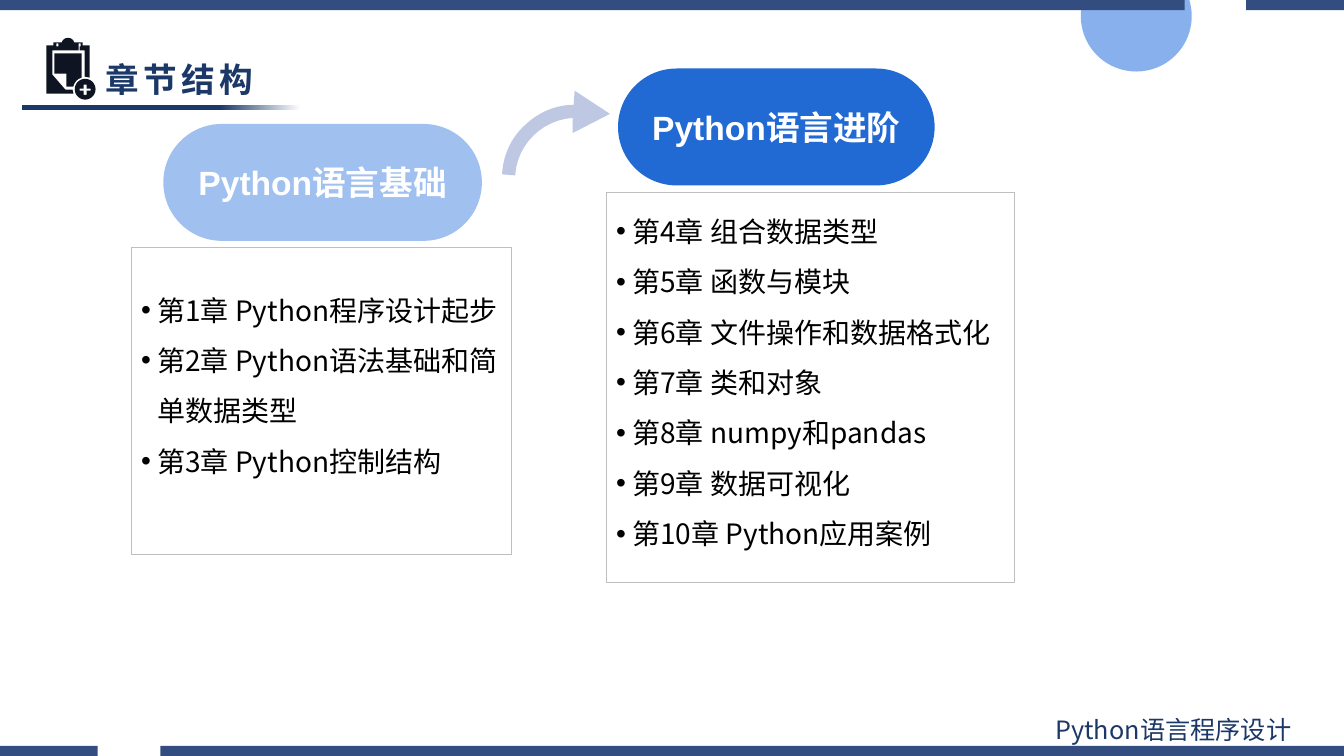
import math
from pptx import Presentation
from pptx.dml.color import RGBColor
from pptx.enum.shapes import MSO_SHAPE
from pptx.enum.text import MSO_ANCHOR, MSO_AUTO_SIZE, PP_ALIGN
from pptx.oxml.ns import qn
from pptx.util import Pt
from lxml import etree

RECTANGLE, PILL, ELLIPSE = MSO_SHAPE.RECTANGLE, MSO_SHAPE.ROUNDED_RECTANGLE, MSO_SHAPE.OVAL
TOP, MIDDLE = MSO_ANCHOR.TOP, MSO_ANCHOR.MIDDLE
LEFT, CENTER = PP_ALIGN.LEFT, PP_ALIGN.CENTER
NO_AUTOFIT = MSO_AUTO_SIZE.NONE

NAVY = RGBColor(0x1B, 0x38, 0x68)
BAR_BLUE = RGBColor(0x33, 0x4D, 0x80)
CIRCLE_BLUE = RGBColor(0x60, 0x96, 0xE6)
LIGHT_BLUE = RGBColor(0xA0, 0xC0, 0xF0)
STRONG_BLUE = RGBColor(0x21, 0x69, 0xD3)
ARROW_BLUE = RGBColor(0xBF, 0xC8, 0xE3)
ICON_INK = RGBColor(0x0F, 0x14, 0x23)
BORDER_GRAY = RGBColor(0xBF, 0xBF, 0xBF)
BLACK = RGBColor(0, 0, 0)
WHITE = RGBColor(0xFF, 0xFF, 0xFF)

EMU_PER_PX = 9144
SLIDE_WIDTH, SLIDE_HEIGHT = 1333, 750
CJK_FONT, LATIN_FONT = "Noto Sans CJK SC", "Arial"

BASICS = ["第1章 Python程序设计起步", "第2章 Python语法基础和简单数据类型", "第3章 Python控制结构"]
ADVANCED = [
    "第4章 组合数据类型", "第5章 函数与模块", "第6章 文件操作和数据格式化", "第7章 类和对象",
    "第8章 numpy和pandas", "第9章 数据可视化", "第10章 Python应用案例",
]


def px(length):
    return round(length * EMU_PER_PX)


def arc(center, radius, start, end, steps=16):
    angles = [math.radians(start + (end - start) * i / steps) for i in range(steps + 1)]
    return [(center[0] + radius * math.cos(a), center[1] + radius * math.sin(a)) for a in angles]


def bezier(p0, p1, p2, p3, steps=12):
    points = []
    for i in range(steps + 1):
        t = i / steps
        weights = ((1 - t) ** 3, 3 * t * (1 - t) ** 2, 3 * t * t * (1 - t), t ** 3)
        points.append(tuple(sum(w * p[axis] for w, p in zip(weights, (p0, p1, p2, p3)))
                            for axis in (0, 1)))
    return points


def write(paragraph, text, size=20, color=BLACK, bold=False, font=CJK_FONT,
          align=LEFT, line_spacing=1.0, tracking=0):
    paragraph.alignment = align
    paragraph.line_spacing = line_spacing
    paragraph.space_before = Pt(0)
    run = paragraph.add_run()
    run.text = text
    run.font.name, run.font.size, run.font.bold = font, Pt(size), bold
    run.font.color.rgb = color
    properties = run._r.get_or_add_rPr()
    etree.SubElement(properties, qn("a:ea")).set("typeface", CJK_FONT)
    if tracking:
        properties.set("spc", str(tracking * 100))


class ChapterSlide:
    def __init__(self, presentation):
        self.slide = presentation.slides.add_slide(presentation.slide_layouts[3])
        self.shapes = self.slide.shapes

    def place(self, shape, left, top, width, height):
        shape.left, shape.top = px(left), px(top)
        shape.width, shape.height = px(width), px(height)

    def frame(self, shape, anchor):
        frame = shape.text_frame
        frame.word_wrap = True
        frame.auto_size = NO_AUTOFIT
        frame.vertical_anchor = anchor
        return frame

    def paint(self, shape, color):
        shape.shadow.inherit = False
        shape.fill.solid()
        shape.fill.fore_color.rgb = color
        shape.line.fill.background()
        return shape

    def block(self, kind, left, top, width, height, color):
        shape = self.shapes.add_shape(kind, px(left), px(top), px(width), px(height))
        return self.paint(shape, color)

    def disc(self, left, top, size, color, opacity):
        shape = self.block(ELLIPSE, left, top, size, size, color)
        color_element = shape.element.spPr.find(".//" + qn("a:srgbClr"))
        etree.SubElement(color_element, qn("a:alpha")).set("val", str(opacity * 1000))

    def fading_rule(self, left, top, width, height, color):
        shape = self.block(RECTANGLE, left, top, width, height, color)
        shape.fill.gradient()
        shape.fill.gradient_angle = 0
        for stop, position, shade in zip(shape.fill.gradient_stops, (0.71, 1), (color, WHITE)):
            stop.position = position
            stop.color.rgb = shade

    def outline(self, contours, color):
        scaled = [[(px(x), px(y)) for x, y in contour] for contour in contours]
        builder = self.shapes.build_freeform(*scaled[0][0], scale=1.0)
        for index, contour in enumerate(scaled):
            if index:
                builder.move_to(*contour[0])
            builder.add_line_segments(contour[1:], close=True)
        self.paint(builder.convert_to_shape(), color)

    def title(self, text, left, top, width, height):
        shape = self.shapes.title
        self.place(shape, left, top, width, height)
        write(self.frame(shape, MIDDLE).paragraphs[0], text, size=24, color=NAVY, bold=True,
              tracking=3)

    def label(self, text, left, top, width, height):
        shape = self.shapes.add_textbox(px(left), px(top), px(width), px(height))
        write(self.frame(shape, TOP).paragraphs[0], text, size=18, color=NAVY)

    def pill(self, text, left, top, width, height, color):
        shape = self.block(PILL, left, top, width, height, color)
        shape.adjustments[0] = 0.5
        write(self.frame(shape, MIDDLE).paragraphs[0], text, size=24, color=WHITE, bold=True,
              font=LATIN_FONT, align=CENTER)

    def chapter_list(self, index, items, left, top, width, height, margin_top):
        shape = self.slide.placeholders[index]
        self.place(shape, left, top, width, height)
        shape.line.color.rgb = BORDER_GRAY
        shape.line.width = Pt(0.25)
        frame = self.frame(shape, TOP)
        frame.margin_top, frame.margin_right = px(margin_top), px(5)
        for number, item in enumerate(items):
            paragraph = frame.add_paragraph() if number else frame.paragraphs[0]
            write(paragraph, item, line_spacing=1.5)
            properties = paragraph._p.get_or_add_pPr()
            properties.set("marL", str(px(16)))
            properties.set("indent", str(-px(16)))
            etree.SubElement(properties, qn("a:buChar")).set("char", "•")

    def curved_arrow(self, color):
        outer = bezier((569, 104), (552, 104), (535, 111), (522, 123))
        outer += bezier((522, 123), (507, 136), (499, 154), (498, 173))
        inner = bezier((511, 174), (513, 143), (538, 119), (568, 117))
        self.outline([[(570, 90), *outer, *inner, (568, 132), (605, 113)]], color)

    def clipboard_icon(self, color):
        badge = (84.5, 88.5)
        board = [
            (46, 45), (53, 45), (53, 42), *arc((67.5, 44), 6.5, -162, -18), (82, 42), (82, 45),
            (89, 45), (89, 77), (84, 76), (84, 50), (79, 50), (79, 46), (80, 46), (80, 43),
            (78, 43), (78, 50), (57, 50), (57, 46), (58, 46), (58, 43), (56, 43), (56, 46),
            (57, 46), (57, 50), (52, 50), (52, 74), (65, 89), (72, 89), (73, 93), (46, 93),
        ]
        paper = [(54, 53), (81, 53), *arc(badge, 12, -107, -168), (66, 86), (66, 73), (54, 73)]
        plus = [
            (83, 84), (83, 88), (79, 88), (79, 90), (83, 90), (83, 94),
            (86, 94), (86, 90), (90, 90), (90, 88), (86, 88), (86, 84),
        ]
        self.outline([board, paper, arc(badge, 10.3, 0, 360, 36), plus], color)


def main():
    presentation = Presentation()
    presentation.slide_width, presentation.slide_height = px(SLIDE_WIDTH), px(SLIDE_HEIGHT)
    page = ChapterSlide(presentation)

    page.disc(1072, -39, 110, CIRCLE_BLUE, 75)
    page.fading_rule(22, 104, 276, 5, NAVY)
    for top, gap_start, gap_end in ((0, 1175, 1236), (740, 97, 159)):
        page.block(RECTANGLE, 0, top, gap_start, 10, BAR_BLUE)
        page.block(RECTANGLE, gap_end, top, SLIDE_WIDTH - gap_end, 10, BAR_BLUE)
    page.label("Python语言程序设计", 1037, 704, 294, 40)

    page.title("章节结构", 95, 50, 604, 56)
    page.chapter_list(1, BASICS, 130, 245, 377, 305, margin_top=29)
    page.pill("Python语言基础", 162, 123, 316, 116, LIGHT_BLUE)
    page.chapter_list(2, ADVANCED, 601, 191, 405, 387, margin_top=5)
    page.pill("Python语言进阶", 613, 68, 314, 116, STRONG_BLUE)
    page.curved_arrow(ARROW_BLUE)
    page.clipboard_icon(ICON_INK)

    presentation.save("out.pptx")


if __name__ == "__main__":
    main()
